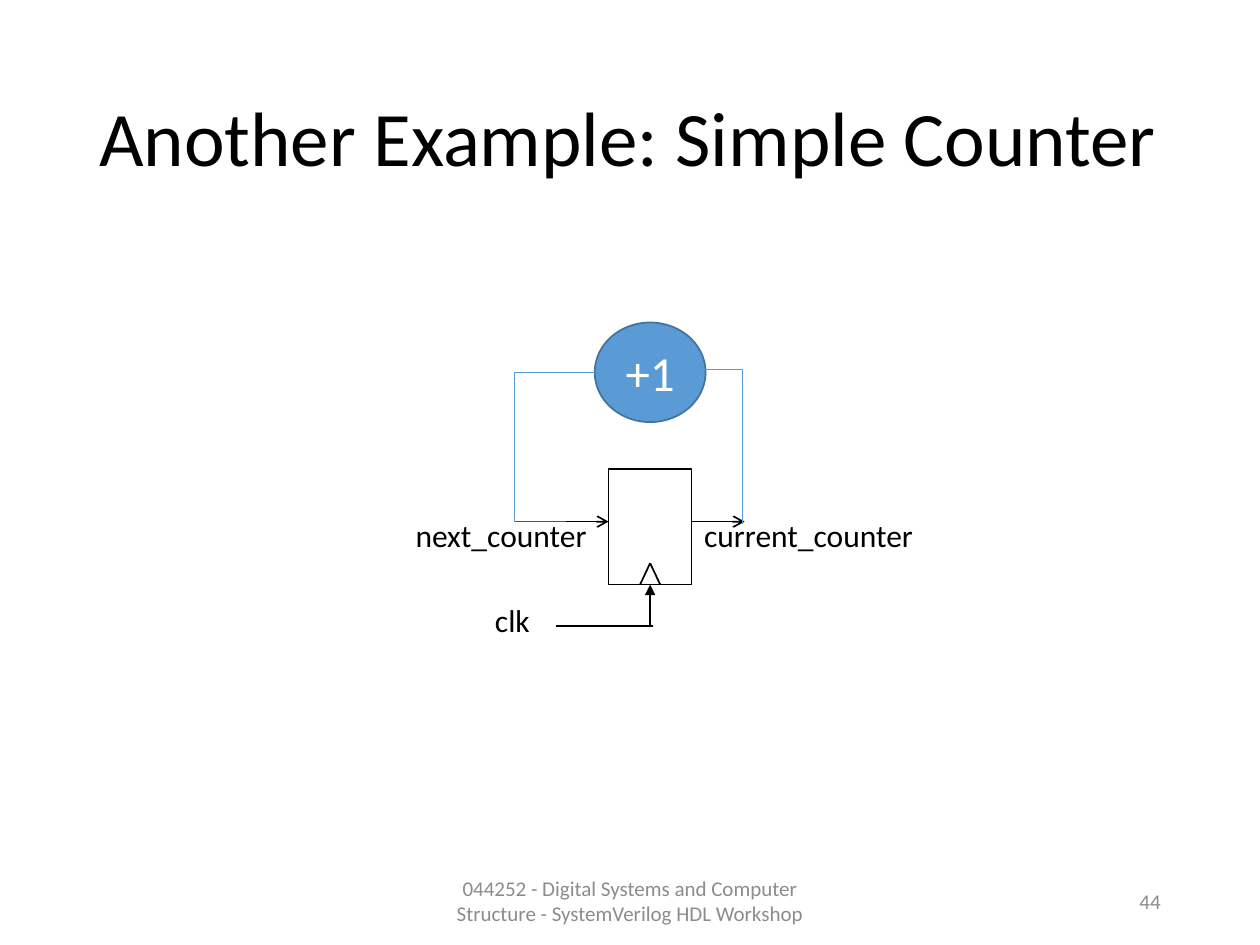
"""Build the simple counter slide: a register fed back through an incrementer."""
import pptx
import pptx.chart.data
import pptx.dml.color
import pptx.enum.shapes
import pptx.enum.text
import pptx.oxml
import pptx.oxml.ns
import pptx.util
from dataclasses import dataclass

Inches = pptx.util.Inches
SHAPE = pptx.enum.shapes.MSO_SHAPE
ALIGN = pptx.enum.text.PP_ALIGN
ANCHOR = pptx.enum.text.MSO_ANCHOR


@dataclass(frozen=True)
class Theme:
    font: str = "Calibri"
    black: str = "000000"
    white: str = "FFFFFF"
    gray: str = "8C8C8C"
    blue: str = "5B9BD5"
    blue_edge: str = "43739E"
    blue_wire: str = "0563C1"
    title: int = 44
    operator: int = 28
    label: int = 18
    footer: int = 12


THEME = Theme()

TITLE = ("Another Example: Simple Counter", (0.69, 0.4, 8.62, 1.45))
FOOTERS = [
    ("044252 - Digital Systems and Computer Structure - SystemVerilog HDL Workshop",
     (3.31, 6.95, 3.38, 0.4), ALIGN.CENTER),
    ("44", (7.06, 6.95, 2.25, 0.4), ALIGN.RIGHT),
]
SIGNALS = [
    ("current_counter", (5.49, 4.05, 1.91, 0.4)),
    ("clk", (3.83, 4.72, 0.51, 0.4)),
    ("next_counter", (3.2, 4.05, 1.57, 0.4)),
]
REGISTER = (4.83, 3.72, 0.66, 0.92)
INCREMENTER = ("+1", (4.72, 2.56, 0.88, 0.79))

left, top, width, height = REGISTER
right, bottom, center = left + width, top + height, left + width / 2
DATA_Y, CLOCK_Y, STUB = 4.14, 4.97, 0.42
NOTCH_HALF, NOTCH_HEIGHT = 0.08, 0.17
notch_tip = (center, bottom - NOTCH_HEIGHT)
WIRES = [
    ((center - NOTCH_HALF, bottom), notch_tip, THEME.black, None),
    ((center + NOTCH_HALF, bottom), notch_tip, THEME.black, None),
    ((left - STUB, DATA_Y), (left, DATA_Y), THEME.black, "arrow"),
    ((right, DATA_Y), (right + STUB, DATA_Y), THEME.black, "arrow"),
    ((left - STUB, CLOCK_Y), (center + 0.02, CLOCK_Y), THEME.black, None),
    ((4.08, DATA_Y), (4.49, DATA_Y), THEME.blue_wire, None),
]
FEEDBACK = [
    [(5.89, 4.16), (5.89, 2.93), (5.58, 2.93)],
    [(4.72, 2.96), (4.08, 2.96), (4.08, DATA_Y)],
]


def rgb(color):
    return pptx.dml.color.RGBColor.from_string(color)


def box(at):
    return [Inches(length) for length in at]


def write(frame, text, *, size, color=THEME.black, align=ALIGN.LEFT,
          anchor=ANCHOR.MIDDLE, wrap=True, spacing=1.0):
    frame.word_wrap = wrap
    frame.vertical_anchor = anchor
    paragraph = frame.paragraphs[0]
    paragraph.alignment = align
    paragraph.line_spacing = spacing
    run = paragraph.add_run()
    run.text = text
    run.font.name = THEME.font
    run.font.size = pptx.util.Pt(size)
    run.font.color.rgb = rgb(color)


def add_block(shapes, kind, at, fill, edge):
    block = shapes.add_shape(kind, *box(at))
    block.shadow.inherit = False
    block.fill.solid()
    block.fill.fore_color.rgb = rgb(fill)
    block.line.color.rgb = rgb(edge)
    block.line.width = pptx.util.Pt(1)
    return block


def add_wire(shapes, start, end, color, head):
    wire = shapes.add_connector(pptx.enum.shapes.MSO_CONNECTOR.STRAIGHT,
                                *box(start), *box(end))
    wire.line.color.rgb = rgb(color)
    wire.line.width = pptx.util.Pt(1)
    if head:
        tail = pptx.oxml.parse_xml(
            f'<a:tailEnd {pptx.oxml.ns.nsdecls("a")} type="{head}"/>')
        wire.line._get_or_add_ln().append(tail)
    wire._element.spPr.append(
        pptx.oxml.parse_xml(f'<a:effectLst {pptx.oxml.ns.nsdecls("a")}/>'))
    return wire


def add_feedback(shapes, points):
    start, *rest = [box(point) for point in points]
    builder = shapes.build_freeform(*start)
    builder.add_line_segments(rest, close=False)
    loop = builder.convert_to_shape()
    loop.shadow.inherit = False
    loop.fill.background()
    loop.line.color.rgb = rgb(THEME.blue)
    loop.line.width = pptx.util.Pt(0.5)


def main():
    deck = pptx.Presentation()
    deck.slide_width, deck.slide_height = Inches(10), Inches(7.5)
    shapes = deck.slides.add_slide(deck.slide_layouts[6]).shapes

    heading, place = TITLE
    write(shapes.add_textbox(*box(place)).text_frame, heading,
          size=THEME.title, spacing=0.9)
    for footer, place, align in FOOTERS:
        write(shapes.add_textbox(*box(place)).text_frame, footer,
              size=THEME.footer, color=THEME.gray, align=align)

    register = add_block(shapes, SHAPE.RECTANGLE, REGISTER, THEME.white, THEME.black)
    for wire in WIRES:
        add_wire(shapes, *wire)
    clock = add_wire(shapes, (center, CLOCK_Y), (center, bottom),
                     THEME.black, "triangle")
    clock.end_connect(register, 2)
    for signal, place in SIGNALS:
        write(shapes.add_textbox(*box(place)).text_frame, signal,
              size=THEME.label, anchor=ANCHOR.TOP, wrap=False)

    operation, place = INCREMENTER
    incrementer = add_block(shapes, SHAPE.OVAL, place, THEME.blue, THEME.blue_edge)
    write(incrementer.text_frame, operation, size=THEME.operator,
          color=THEME.white, align=ALIGN.CENTER)
    for points in FEEDBACK:
        add_feedback(shapes, points)
    deck.save("out.pptx")


if __name__ == "__main__":
    main()
